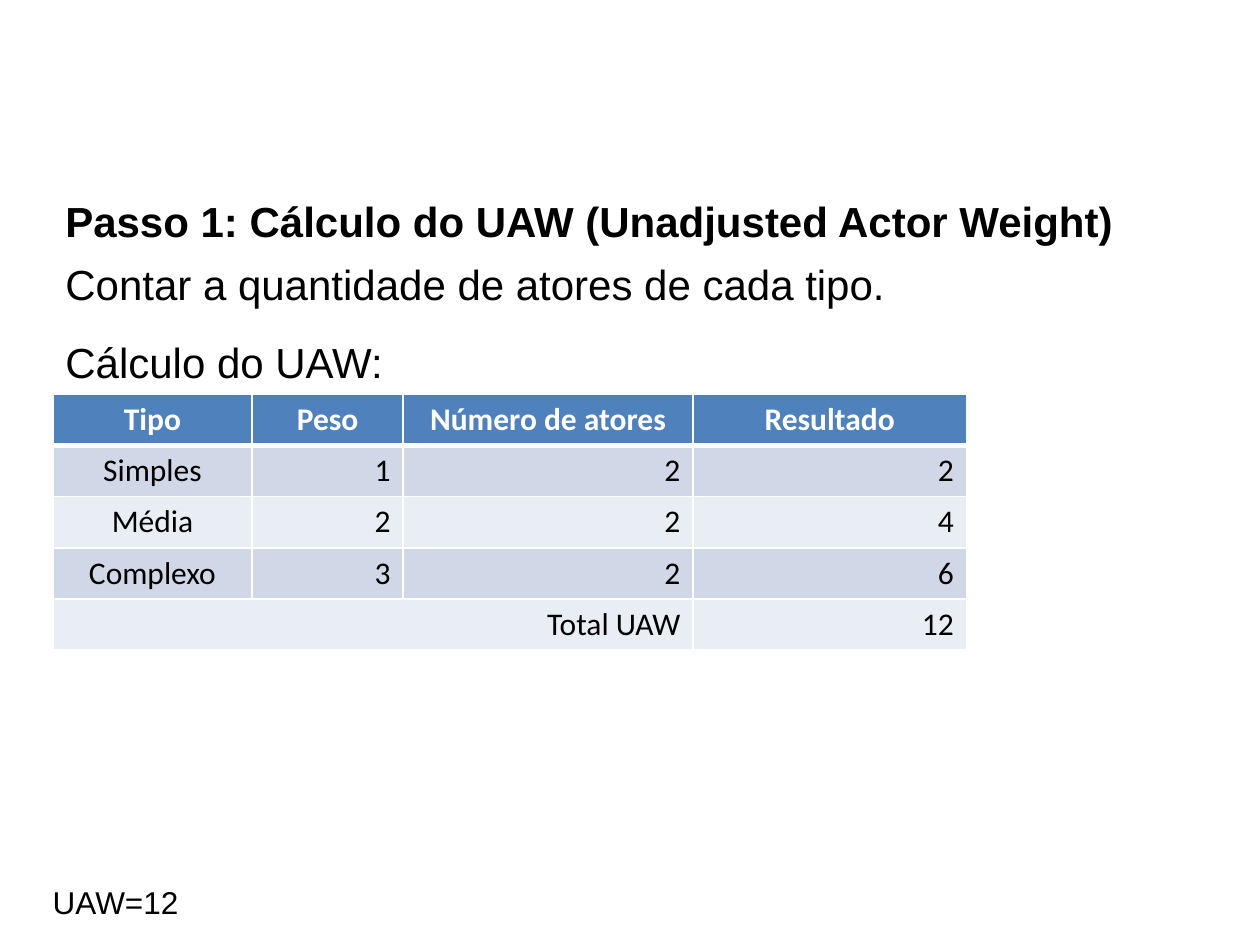
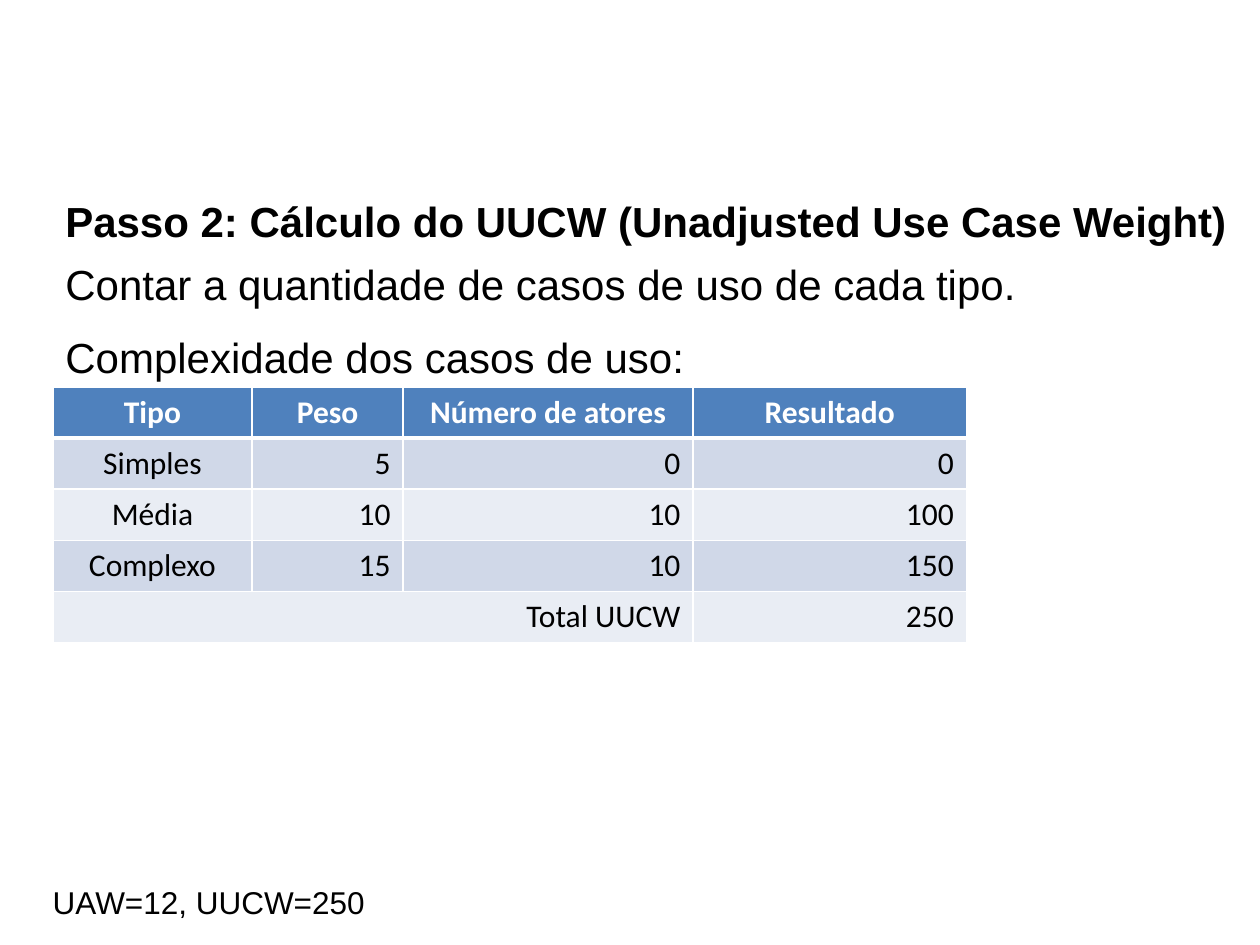
from dataclasses import dataclass

from pptx import Presentation
from pptx import util as u
from pptx.dml.color import RGBColor
from pptx.enum import text
from pptx.oxml import parse_xml
from pptx.oxml.ns import nsdecls

ALIGN = text.PP_ALIGN


@dataclass(frozen=True)
class Theme:
    black: str = "000000"
    white: str = "FFFFFF"
    head: str = "4F81BD"
    odd: str = "D0D8E8"
    even: str = "E9EDF4"
    body: str = "Arial"
    grid: str = "Calibri"
    large: int = 24
    small: int = 18


class Deck:
    def __init__(self, theme):
        self.theme = theme
        self.prs = Presentation()
        self.prs.slide_width = u.Inches(10)
        self.prs.slide_height = u.Inches(7.5)
        self.slide = None

    def page(self):
        self.slide = self.prs.slides.add_slide(self.prs.slide_layouts[6])

    def style(self, para, font, size, color, bold=False):
        for run in para.runs:
            run.font.name = font
            run.font.size = u.Pt(size)
            run.font.bold = bold
            run.font.color.rgb = RGBColor.from_string(color)

    def box(self, words, left, top, width, height):
        shape = self.slide.shapes.add_textbox(
            u.Inches(left), u.Inches(top), u.Inches(width), u.Inches(height))
        shape.text_frame.text = words
        return shape.text_frame

    def title(self, words):
        # Wide enough for the longest title on one line
        frame = self.box(words, 0.42, 1.5, 9.5, 0.5)
        frame.word_wrap = True
        para = frame.paragraphs[0]
        para.alignment = ALIGN.LEFT
        self.style(para, self.theme.body, self.theme.large,
                   self.theme.black, True)

    def line(self, words, left, top, height, size):
        frame = self.box(words, left, top, 9.08, height)
        frame.word_wrap = True
        frame.auto_size = text.MSO_AUTO_SIZE.SHAPE_TO_FIT_TEXT
        para = frame.paragraphs[0]
        para.alignment = ALIGN.JUSTIFY
        para.space_after = u.Pt(9)
        self.style(para, self.theme.body, size, self.theme.black)

    def note(self, words, top):
        self.line(words, 0.42, top, 0.5, self.theme.large)

    def footer(self, words):
        self.line(words, 0.32, 6.96, 0.4, self.theme.small)

    def edges(self, cell, row):
        # Borders go in before the fill, as the schema orders them
        heavy = {0: "B", 1: "T"}.get(row)
        for side in "LRTB":
            width = u.Pt(3 if side == heavy else 1)
            cell._tc.get_or_add_tcPr().append(parse_xml(
                f'<a:ln{side} {nsdecls("a")} w="{width}"><a:solidFill>'
                f'<a:srgbClr val="{self.theme.white}"/></a:solidFill>'
                f'</a:ln{side}>'))

    def table(self, rows, top):
        t = self.theme
        widths = (1.58, 1.2, 2.3, 2.17)
        high = 2.03 / len(rows)
        grid = self.slide.shapes.add_table(
            len(rows), len(widths), u.Inches(0.42), u.Inches(top),
            u.Inches(sum(widths)), u.Inches(2.03)).table
        for col, width in zip(grid.columns, widths):
            col.width = u.Inches(width)
        for r, row in enumerate(rows):
            grid.rows[r].height = u.Inches(high)
            fill = t.head if r == 0 else t.odd if r % 2 else t.even
            for c, value in enumerate(row):
                cell = grid.cell(r, c)
                self.edges(cell, r)
                cell.fill.solid()
                cell.fill.fore_color.rgb = RGBColor.from_string(fill)
                cell.text_frame.text = str(value)
                para = cell.text_frame.paragraphs[0]
                mid = r == 0 or (c == 0 and r < len(rows) - 1)
                para.alignment = ALIGN.CENTER if mid else ALIGN.RIGHT
                self.style(para, t.grid, t.small,
                           t.white if r == 0 else t.black, r == 0)
        # The total's label spans all but the last column
        last = len(rows) - 1
        grid.cell(last, 0).merge(grid.cell(last, len(widths) - 2))


def step(deck, title, count, label, place, name, data, start, foot):
    deck.page()
    deck.title(title)
    deck.note(count, 2)
    deck.note(label, place)
    # Each result is weight times number; the last row sums them
    kinds = ("Simples", "Média", "Complexo")
    rows = [("Tipo", "Peso", "Número de atores", "Resultado")]
    rows += [(kind, w, n, w * n) for kind, (w, n) in zip(kinds, data)]
    rows.append((f"Total {name}", "", "", sum(w * n for w, n in data)))
    deck.table(rows, start)
    deck.footer(foot)


deck = Deck(Theme())

# Step 1: actors
step(deck, "Passo 1: Cálculo do UAW (Unadjusted Actor Weight)",
     "Contar a quantidade de atores de cada tipo.",
     "Cálculo do UAW:", 2.62,
     "UAW", [(1, 2), (2, 2), (3, 2)], 3.13, "UAW=12")

# Step 2: use cases
step(deck, "Passo 2: Cálculo do UUCW (Unadjusted Use Case Weight)",
     "Contar a quantidade de casos de uso de cada tipo.",
     "Complexidade dos casos de uso:", 2.58,
     "UUCW", [(5, 0), (10, 10), (15, 10)], 3.07, "UAW=12, UUCW=250")

deck.prs.save("out.pptx")
